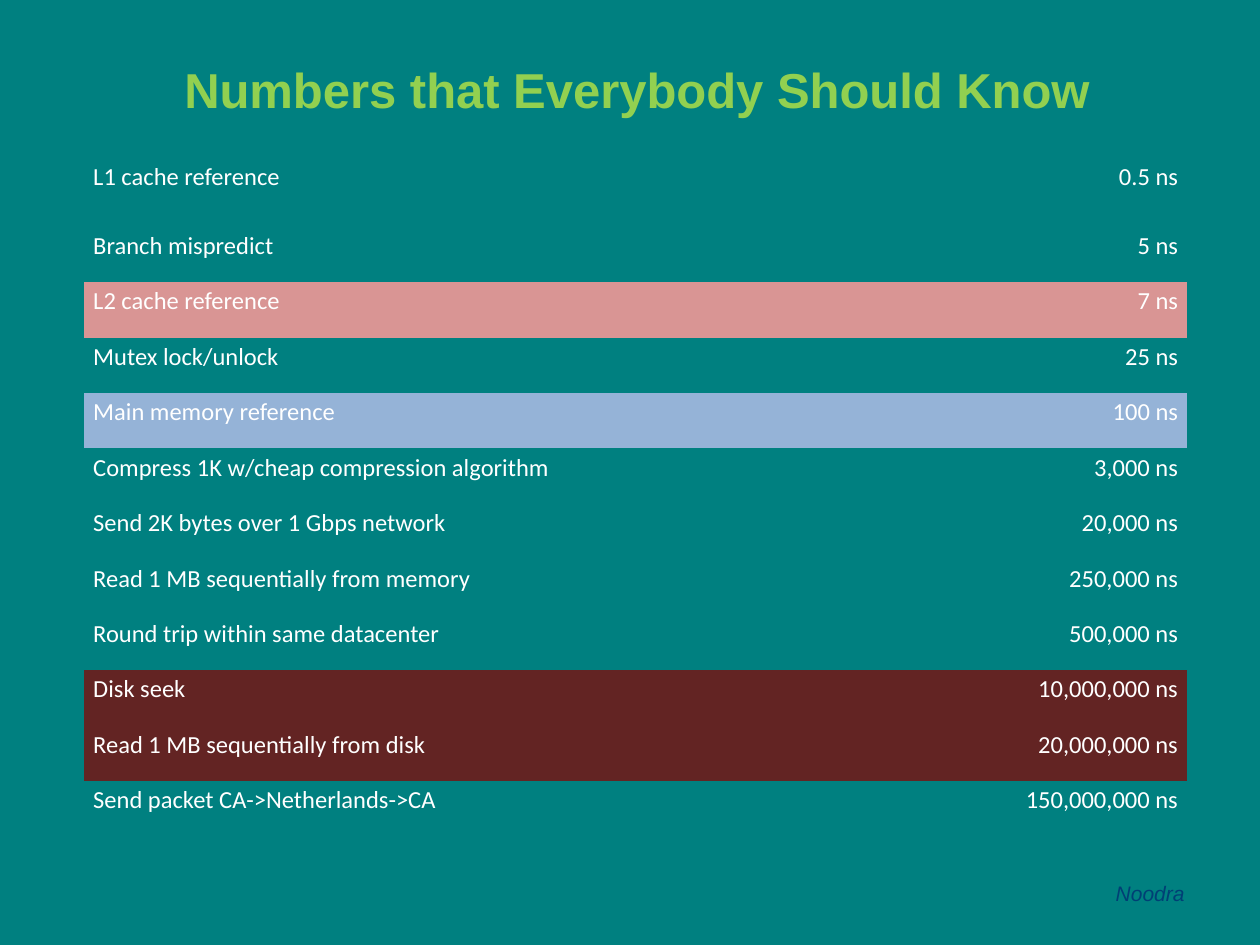
from typing import NamedTuple, Optional

from lxml import etree
from pptx import Presentation
from pptx.dml.color import RGBColor
from pptx.enum.text import MSO_ANCHOR, MSO_AUTO_SIZE, PP_ALIGN
from pptx.oxml import parse_xml
from pptx.oxml.ns import nsdecls, qn
from pptx.util import Inches, Pt

LEFT, CENTER, RIGHT = PP_ALIGN.LEFT, PP_ALIGN.CENTER, PP_ALIGN.RIGHT
MIDDLE, TOP = MSO_ANCHOR.MIDDLE, MSO_ANCHOR.TOP
FIT_SHAPE = MSO_AUTO_SIZE.SHAPE_TO_FIT_TEXT
NO_AUTOFIT = MSO_AUTO_SIZE.NONE

TEAL, LIME, WHITE, NAVY = "008080", "92D050", "FFFFFF", "003F75"
ROSE, SKY, MAROON = "D99594", "95B3D7", "632423"
PLAIN_TABLE_STYLE = "{2D5ABB26-0587-4C30-8999-92F81FD0307C}"

COLUMN_WIDTHS = (6.22, 2.53)
FIRST_ROW_HEIGHT, ROW_HEIGHT = 0.55, 0.44
CELL_FORMAT = {
    "margin_left": Inches(0.07),
    "margin_right": Inches(0.07),
    "margin_top": 0,
    "margin_bottom": 0,
    "vertical_anchor": TOP,
}


class Latency(NamedTuple):
    operation: str
    duration: str
    highlight: Optional[str] = None


LATENCIES = (
    Latency("L1 cache reference", "0.5 ns"),
    Latency("Branch mispredict", "5 ns"),
    Latency("L2 cache reference", "7 ns", ROSE),
    Latency("Mutex lock/unlock", "25 ns"),
    Latency("Main memory reference", "100 ns", SKY),
    Latency("Compress 1K w/cheap compression algorithm", "3,000 ns"),
    Latency("Send 2K bytes over 1 Gbps network", "20,000 ns"),
    Latency("Read 1 MB sequentially from memory", "250,000 ns"),
    Latency("Round trip within same datacenter", "500,000 ns"),
    Latency("Disk seek", "10,000,000 ns", MAROON),
    Latency("Read 1 MB sequentially from disk", "20,000,000 ns", MAROON),
    Latency("Send packet CA->Netherlands->CA", "150,000,000 ns"),
)


def apply(target, values: dict) -> None:
    for name, value in values.items():
        setattr(target, name, value)


def paint(fill, color: str) -> None:
    fill.solid()
    fill.fore_color.rgb = RGBColor.from_string(color)


def write(frame, text: str, color: str, align, **font_format):
    """Fill the first paragraph of a text frame and return its run."""
    paragraph = frame.paragraphs[0]
    paragraph.alignment = align
    run = paragraph.add_run()
    run.text = text
    apply(run.font, font_format)
    paint(run.font.fill, color)
    return run


def add_text_shadow(run) -> None:
    shadow = parse_xml(
        f'<a:effectLst {nsdecls("a")}>'
        '<a:outerShdw blurRad="38100" dist="38100" dir="2700000" algn="tl">'
        '<a:srgbClr val="000000"><a:alpha val="43000"/></a:srgbClr>'
        "</a:outerShdw></a:effectLst>"
    )
    run.font._element.find(qn("a:solidFill")).addnext(shadow)


def add_title(slide) -> None:
    title = slide.shapes.title
    apply(title, {"left": Inches(1.32), "top": Inches(0.42),
                  "width": Inches(7.47), "height": Inches(0.57)})
    apply(title.text_frame, {"vertical_anchor": MIDDLE, "word_wrap": True,
                             "auto_size": NO_AUTOFIT})
    heading = write(title.text_frame, "Numbers that Everybody Should Know",
                    LIME, CENTER, size=Pt(28), name="Arial", bold=True)
    add_text_shadow(heading)


def add_latency_table(slide) -> None:
    height = FIRST_ROW_HEIGHT + ROW_HEIGHT * (len(LATENCIES) - 1)
    table = slide.shapes.add_table(
        len(LATENCIES), len(COLUMN_WIDTHS), Inches(0.67), Inches(1.25),
        Inches(sum(COLUMN_WIDTHS)), Inches(height)).table
    apply(table, {"first_row": False, "horz_banding": False})
    table._tbl.tblPr.find(qn("a:tableStyleId")).text = PLAIN_TABLE_STYLE
    for column, width in zip(table.columns, COLUMN_WIDTHS):
        column.width = Inches(width)
    for index, (row, latency) in enumerate(zip(table.rows, LATENCIES)):
        row.height = Inches(ROW_HEIGHT if index else FIRST_ROW_HEIGHT)
        entries = ((latency.operation, LEFT), (latency.duration, RIGHT))
        for cell, (text, align) in zip(row.cells, entries):
            apply(cell, CELL_FORMAT)
            if latency.highlight:
                paint(cell.fill, latency.highlight)
            else:
                cell.fill.background()
            write(cell.text_frame, text, WHITE, align,
                  size=Pt(14), name="Calibri")
            cell.text_frame.paragraphs[0].line_spacing = 1.15


def add_credit(slide) -> None:
    credit = slide.shapes.add_textbox(
        Inches(8.33), Inches(6.94), Inches(1.17), Inches(0.3)).text_frame
    apply(credit, {"word_wrap": True, "auto_size": FIT_SHAPE})
    write(credit, "Noodra", NAVY, RIGHT,
          size=Pt(12), name="Arial", italic=True)


def main() -> None:
    deck = Presentation()
    apply(deck, {"slide_width": Inches(10), "slide_height": Inches(7.5)})
    slide = deck.slides.add_slide(deck.slide_layouts[5])
    paint(slide.background.fill, TEAL)
    add_latency_table(slide)
    add_title(slide)
    add_credit(slide)
    deck.save("out.pptx")


if __name__ == "__main__":
    main()
